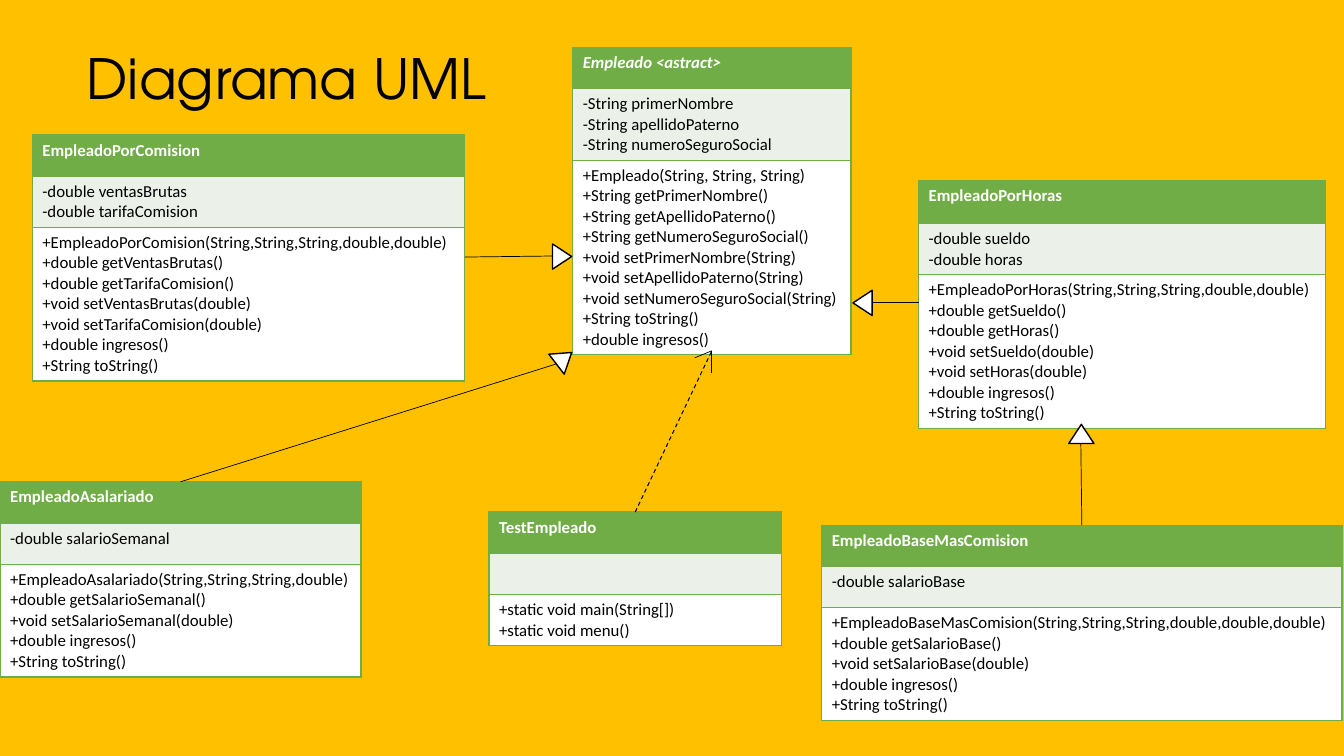
from lxml import etree
from pptx import Presentation
from pptx.dml.color import RGBColor
from pptx.enum.dml import MSO_LINE_DASH_STYLE as DASH
from pptx.enum.shapes import MSO_CONNECTOR, MSO_SHAPE
from pptx.enum.text import MSO_ANCHOR, MSO_AUTO_SIZE, PP_ALIGN
from pptx.oxml import parse_xml
from pptx.oxml.ns import nsdecls, qn
from pptx.util import Inches, Pt

AMBER = RGBColor(0xFF, 0xC0, 0x00)
GREEN = RGBColor(0x70, 0xAD, 0x47)
PALE_GREEN = RGBColor(0xEB, 0xF1, 0xE9)
WHITE = RGBColor(0xFF, 0xFF, 0xFF)
BLACK = RGBColor(0x00, 0x00, 0x00)

TITLE_FONT = "TeX Gyre Adventor"
BODY_FONT = "Calibri"
ROW_HEIGHT = 0.41
LINE_HEIGHT = 0.2
CELL_PADDING = 0.1
ARROW_WIDTH, ARROW_HEIGHT = 0.25, 0.19

# Class name, left, top, width, header height, attributes, methods
CLASSES = [
    ("Empleado <astract>", 5.68, 0.47, 2.76, ROW_HEIGHT,
     ["-String primerNombre", "-String apellidoPaterno",
      "-String numeroSeguroSocial"],
     ["+Empleado(String, String, String)", "+String getPrimerNombre()",
      "+String getApellidoPaterno()", "+String getNumeroSeguroSocial()",
      "+void setPrimerNombre(String)", "+void setApellidoPaterno(String)",
      "+void setNumeroSeguroSocial(String)", "+String toString()",
      "+double ingresos()"]),
    ("EmpleadoAsalariado", 0, 4.78, 3.58, ROW_HEIGHT,
     ["-double salarioSemanal"],
     ["+EmpleadoAsalariado(String,String,String,double)",
      "+double getSalarioSemanal()", "+void setSalarioSemanal(double)",
      "+double ingresos()", "+String toString()"]),
    ("EmpleadoPorComision", 0.32, 1.34, 4.29, ROW_HEIGHT,
     ["-double ventasBrutas", "-double tarifaComision"],
     ["+EmpleadoPorComision(String,String,String,double,double)",
      "+double getVentasBrutas()", "+double getTarifaComision()",
      "+void setVentasBrutas(double)", "+void setTarifaComision(double)",
      "+double ingresos()", "+String toString()"]),
    ("EmpleadoPorHoras", 9.11, 1.79, 4.04, 0.43,
     ["-double sueldo", "-double horas"],
     ["+EmpleadoPorHoras(String,String,String,double,double)",
      "+double getSueldo()", "+double getHoras()",
      "+void setSueldo(double)", "+void setHoras(double)",
      "+double ingresos()", "+String toString()"]),
    ("EmpleadoBaseMasComision", 8.15, 5.21, 5.16, ROW_HEIGHT,
     ["-double salarioBase"],
     ["+EmpleadoBaseMasComision(String,String,String,double,double,double)",
      "+double getSalarioBase()", "+void setSalarioBase(double)",
      "+double ingresos()", "+String toString()"]),
    ("TestEmpleado", 4.85, 5.08, 2.9, ROW_HEIGHT,
     [],
     ["+static void main(String[])", "+static void menu()"]),
]

# Triangle left, top and rotation, then line start and end
INHERITANCES = [
    (5.47, 3.46, 52.3, (5.52, 3.61), (1.79, 4.78)),
    (5.45, 2.45, 90, (5.48, 2.54), (4.61, 2.55)),
    (8.43, 2.91, 270, (9.11, 3), (8.65, 3)),
    (10.6, 4.21, 0, (10.72, 4.4), (10.73, 5.21)),
]


def add_background(slide, width, height):
    shape = slide.shapes.add_shape(MSO_SHAPE.RECTANGLE, 0, 0, width, height)
    shape.shadow.inherit = False
    shape.fill.solid()
    shape.fill.fore_color.rgb = AMBER
    shape.line.fill.background()
    # Send behind the title
    shape.element.getparent().insert(2, shape.element)


def add_run(paragraph, text, font_name, size, color):
    run = paragraph.add_run()
    run.text = text
    run.font.name = font_name
    run.font.size = Pt(size)
    run.font.color.rgb = color
    return run


def add_title(slide, text):
    title = slide.shapes.title
    title.left, title.top = Inches(0.76), Inches(0.39)
    title.width, title.height = Inches(4.51), Inches(0.84)
    frame = title.text_frame
    frame.vertical_anchor = MSO_ANCHOR.MIDDLE
    frame.auto_size = MSO_AUTO_SIZE.NONE
    paragraph = frame.paragraphs[0]
    paragraph.alignment = PP_ALIGN.LEFT
    paragraph.line_spacing = 0.9
    add_run(paragraph, text, TITLE_FONT, 39.6, BLACK)


def set_borders(cell):
    properties = cell._tc.get_or_add_tcPr()
    for index, side in enumerate(("lnL", "lnR", "lnT", "lnB")):
        properties.insert(index, parse_xml(
            f'<a:{side} {nsdecls("a")} w="{Pt(1)}"><a:solidFill>'
            f'<a:srgbClr val="{GREEN}"/></a:solidFill></a:{side}>'))


def fill_cell(cell, lines, fill, color, bold=False, italic=False):
    cell.fill.solid()
    cell.fill.fore_color.rgb = fill
    set_borders(cell)
    frame = cell.text_frame
    for index, line in enumerate(lines):
        paragraph = frame.add_paragraph() if index else frame.paragraphs[0]
        run = add_run(paragraph, line, BODY_FONT, 12, color)
        run.font.bold, run.font.italic = bold, italic


def add_class(slide, name, left, top, width, header_height, attributes, methods):
    heights = [header_height] + [
        max(ROW_HEIGHT, CELL_PADDING + LINE_HEIGHT * len(lines))
        for lines in (attributes, methods)]
    table = slide.shapes.add_table(
        3, 1, Inches(left), Inches(top), Inches(width),
        Inches(sum(heights))).table
    for row, height in zip(table.rows, heights):
        row.height = Inches(height)
    fill_cell(table.cell(0, 0), [name], GREEN, WHITE,
              bold=True, italic="<astract>" in name)
    fill_cell(table.cell(1, 0), attributes, PALE_GREEN, BLACK)
    fill_cell(table.cell(2, 0), methods, WHITE, BLACK)


def add_line(slide, start, end, width=0.5, dash=None):
    points = [Inches(value) for value in (*start, *end)]
    line = slide.shapes.add_connector(MSO_CONNECTOR.STRAIGHT, *points)
    line.line.color.rgb = BLACK
    line.line.width = Pt(width)
    if dash:
        line.line.dash_style = dash
    etree.SubElement(line.element.spPr, qn("a:effectLst"))


def add_inheritance(slide, left, top, rotation, start, end):
    triangle = slide.shapes.add_shape(
        MSO_SHAPE.ISOSCELES_TRIANGLE, Inches(left), Inches(top),
        Inches(ARROW_WIDTH), Inches(ARROW_HEIGHT))
    triangle.rotation = rotation
    triangle.shadow.inherit = False
    triangle.fill.solid()
    triangle.fill.fore_color.rgb = WHITE
    triangle.line.color.rgb = BLACK
    triangle.line.width = Pt(1)
    add_line(slide, start, end)


def add_dependency(slide, start, tip, barbs):
    add_line(slide, start, tip, 0.75, DASH.DASH)
    for barb in barbs:
        add_line(slide, barb, tip)


def main():
    presentation = Presentation()
    presentation.slide_width = Inches(13.33)
    presentation.slide_height = Inches(7.5)
    slide = presentation.slides.add_slide(presentation.slide_layouts[5])

    # Background and title
    add_background(slide, presentation.slide_width, presentation.slide_height)
    add_title(slide, "Diagrama UML")

    # Class boxes
    for uml_class in CLASSES:
        add_class(slide, *uml_class)

    # Relations between classes
    for inheritance in INHERITANCES:
        add_inheritance(slide, *inheritance)
    add_dependency(slide, (6.3, 5.08), (7.06, 3.48), [(6.89, 3.55), (7.06, 3.7)])

    presentation.save("out.pptx")


main()
